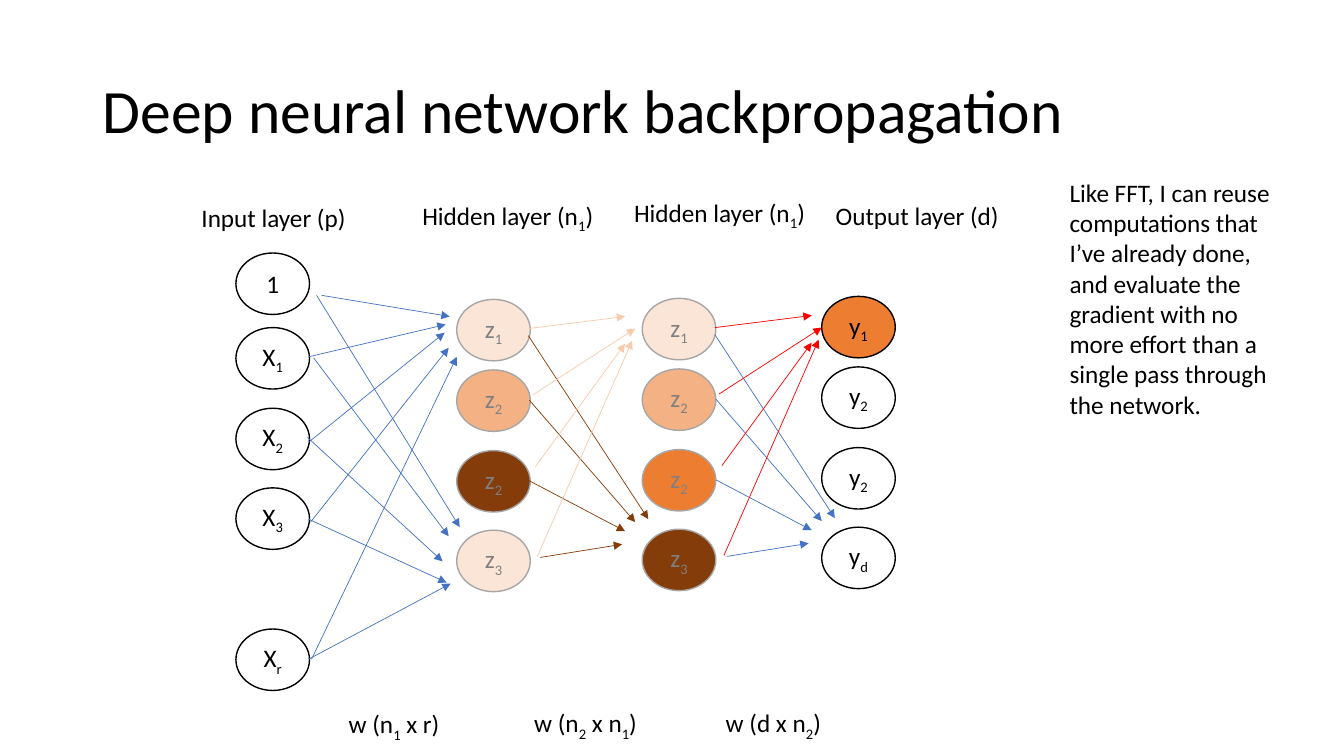
"""Build a slide on backpropagation through a deep neural network."""
from lxml import etree
from pptx import Presentation
from pptx.dml.color import RGBColor
from pptx.enum.shapes import MSO_CONNECTOR, MSO_SHAPE
from pptx.enum.text import MSO_ANCHOR, PP_ALIGN
from pptx.oxml.ns import qn
from pptx.util import Inches, Pt

STRAIGHT = MSO_CONNECTOR.STRAIGHT
ELLIPSE = MSO_SHAPE.OVAL
MIDDLE = MSO_ANCHOR.MIDDLE
CENTER = PP_ALIGN.CENTER

BLACK = RGBColor(0x00, 0x00, 0x00)
GRAY = RGBColor(0x80, 0x80, 0x80)
SILVER = RGBColor(0xA6, 0xA6, 0xA6)
BLUE = RGBColor(0x44, 0x72, 0xC4)
RED = RGBColor(0xFF, 0x00, 0x00)
CREAM = RGBColor(0xFB, 0xE5, 0xD6)
PEACH = RGBColor(0xF8, 0xCB, 0xAD)
APRICOT = RGBColor(0xF4, 0xB1, 0x83)
ORANGE = RGBColor(0xED, 0x7D, 0x31)
BROWN = RGBColor(0x84, 0x3C, 0x0B)

CELL = Inches(0.1)
NODE_WIDTH, NODE_HEIGHT = 7.3, 6.1
LAYER_SHIFT = (18.5, -0.1)


def add_runs(paragraph, text, size, color):
    """Add text as runs; every second part between underscores is subscript."""
    for index, part in enumerate(text.split("_")):
        if part:
            run = paragraph.add_run()
            run.text = part
            run.font.name = "Calibri"
            run.font.size = Pt(size)
            run.font.color.rgb = color
            if index % 2:
                run.font._element.set("baseline", "-25000")


def add_arrow(start, end, color):
    """Draw a thin arrow between two grid points."""
    arrow = slide.shapes.add_connector(
        STRAIGHT, *(round(value * CELL) for value in (*start, *end)))
    arrow.line.color.rgb = color
    arrow.line.width = Pt(0.5)
    etree.SubElement(arrow.line._get_or_add_ln(), qn("a:tailEnd"), type="triangle")
    etree.SubElement(arrow._element.spPr, qn("a:effectLst"))


presentation = Presentation()
presentation.slide_width = Inches(13.33)
presentation.slide_height = Inches(7.5)
slide = presentation.slides.add_slide(presentation.slide_layouts[6])

title = slide.shapes.add_textbox(*(round(value * CELL) for value in (9.2, 4, 115, 14.5)))
title.text_frame.word_wrap = True
title.text_frame.vertical_anchor = MIDDLE
title_paragraph = title.text_frame.paragraphs[0]
title_paragraph.line_spacing = 0.9
add_runs(title_paragraph, "Deep neural network backpropagation", 44, BLACK)

INPUT_ROWS = (0, 7.4, 15.4, 23.3, 37.3)
LAYER_ROWS = (0, 7, 15, 22.9)
layers = [
    (23.4, 25.1, INPUT_ROWS, ("1", "X_1", "X_2", "X_3", "X_r"), (None,) * 5, BLACK, BLACK),
    (45.3, 29.7, LAYER_ROWS, ("z_1", "z_2", "z_2", "z_3"),
     (CREAM, APRICOT, BROWN, CREAM), SILVER, GRAY),
    (63.7, 29.6, LAYER_ROWS, ("z_1", "z_2", "z_2", "z_3"),
     (CREAM, APRICOT, ORANGE, BROWN), SILVER, GRAY),
    (81.5, 29.4, LAYER_ROWS, ("y_1", "y_2", "y_2", "y_d"),
     (ORANGE, None, None, None), BLACK, BLACK),
]
for left, top, rows, labels, fills, outline, text_color in layers:
    for row, label, fill in zip(rows, labels, fills):
        node = slide.shapes.add_shape(
            ELLIPSE,
            *(round(value * CELL) for value in (left, top + row, NODE_WIDTH, NODE_HEIGHT)))
        node.shadow.inherit = False
        if fill is None:
            node.fill.background()
        else:
            node.fill.solid()
            node.fill.fore_color.rgb = fill
        node.line.color.rgb = outline
        node.line.width = Pt(1)
        node.text_frame.vertical_anchor = MIDDLE
        node_paragraph = node.text_frame.paragraphs[0]
        node_paragraph.alignment = CENTER
        add_runs(node_paragraph, label, 18, text_color)

input_links = [
    ((31.9, 29.3), (44.6, 31.4)), ((30.6, 35.4), (44.2, 32.2)),
    ((30.7, 43.8), (44.1, 33)), ((30.8, 51.8), (44.5, 34.5)),
    ((30.9, 65.4), (45.3, 35.4)), ((30.6, 65.4), (44.7, 57.9)),
    ((30.6, 51.5), (44.3, 57.8)), ((30.5, 43.4), (43.9, 55.7)),
    ((31.1, 35.5), (44.5, 53.2)), ((31.4, 29.3), (45.6, 52.3)),
]
for start, end in input_links:
    add_arrow(start, end, BLUE)

links_to_last = [
    ((52.4, 33.3), (64.3, 51.5)), ((52.5, 47.7), (62, 52.7)),
    ((52.5, 39.7), (63, 51.8)), ((53.6, 55.3), (61.7, 54)),
]
links_to_first = [
    ((53.3, 55.2), (62.7, 33.8)), ((53.1, 46.3), (62, 34.1)),
    ((52.8, 39.2), (63, 32.6)), ((52.4, 32.6), (62, 31.4)),
]
for step, (last_color, first_color) in enumerate([(BROWN, PEACH), (BLUE, RED)]):
    shift_x, shift_y = (step * value for value in LAYER_SHIFT)
    for links, color in ((links_to_last, last_color), (links_to_first, first_color)):
        for (start_x, start_y), (end_x, end_y) in links:
            add_arrow((start_x + shift_x, start_y + shift_y),
                      (end_x + shift_x, end_y + shift_y), color)

captions = [
    (19, 19.6, 23, 4, "Input layer (p)"),
    (40.9, 19.4, 23, 4, "Hidden layer (n_1_)"),
    (61.9, 19.1, 23, 4, "Hidden layer (n_1_)"),
    (81.9, 19.4, 23, 4, "Output layer (d)"),
    (33.6, 69.8, 14.3, 4, "w (n_1_ x r)"),
    (52, 69.7, 14.7, 4, "w (n_2_ x n_1_)"),
    (71, 69.7, 14.7, 4, "w (d x n_2_)"),
    (105.1, 17.1, 23, 25.2,
     "Like FFT, I can reuse computations that I’ve already done, and evaluate the "
     "gradient with no more effort than a single pass through the network."),
]
for *box, text in captions:
    caption = slide.shapes.add_textbox(*(round(value * CELL) for value in box))
    caption.text_frame.word_wrap = True
    add_runs(caption.text_frame.paragraphs[0], text, 18, BLACK)

presentation.save("out.pptx")
